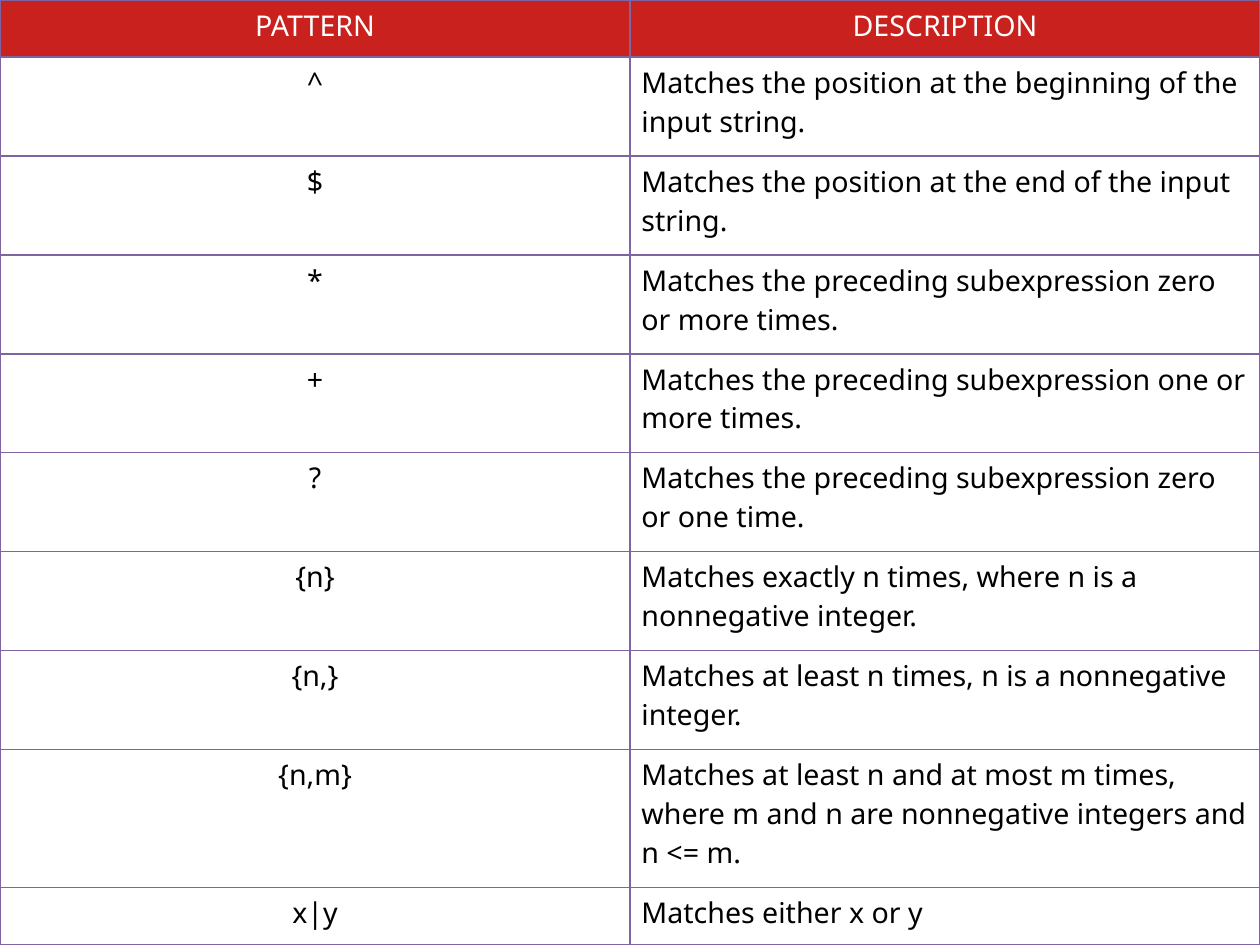
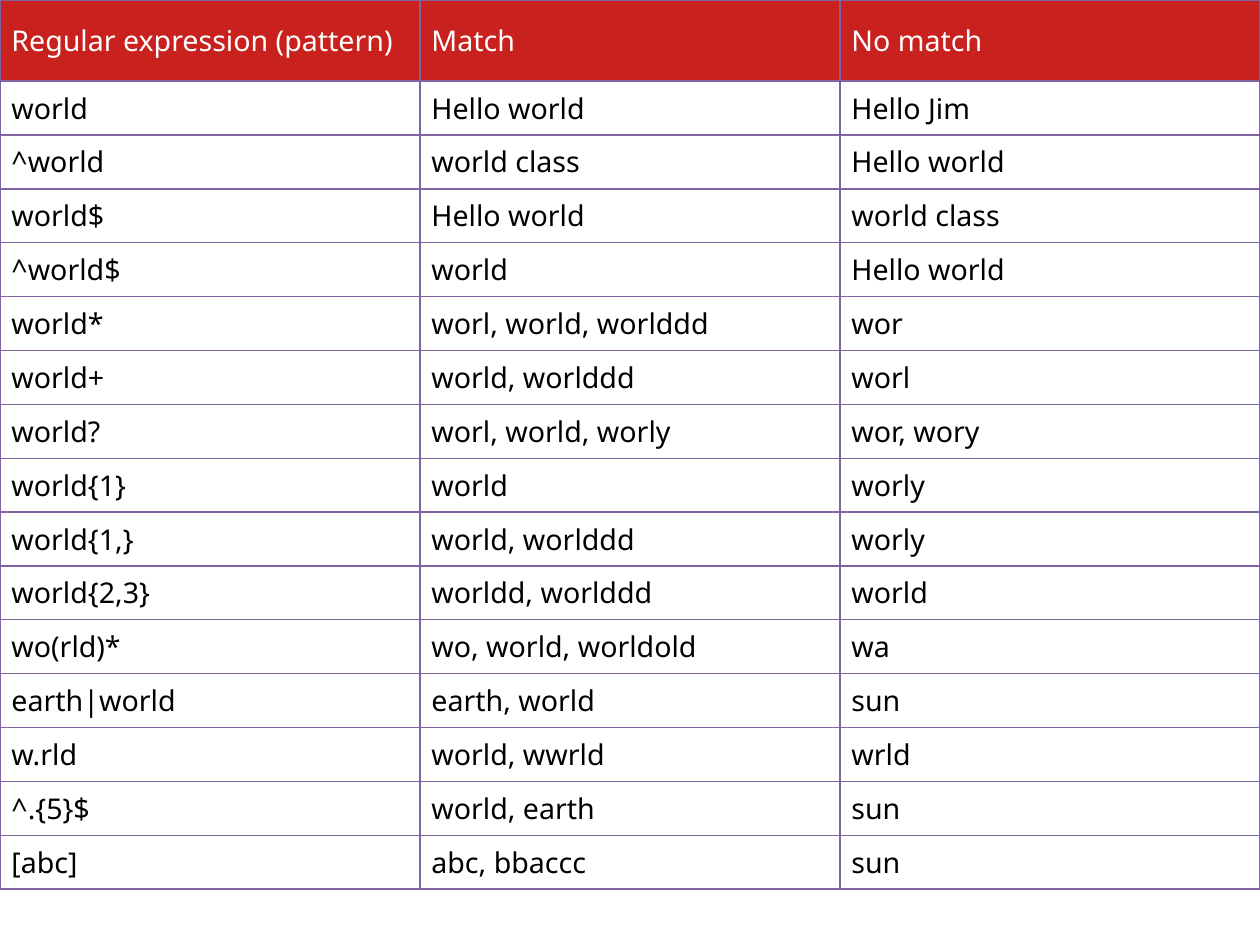
from lxml import etree
from pptx import Presentation
from pptx.dml.color import RGBColor
from pptx.enum.text import MSO_ANCHOR, PP_ALIGN
from pptx.oxml.ns import qn
from pptx.util import Inches, Pt

LEFT, CENTER = PP_ALIGN.LEFT, PP_ALIGN.CENTER
TOP, MIDDLE = MSO_ANCHOR.TOP, MSO_ANCHOR.MIDDLE

# Shared look; the page is 28 by 21 cm, expressed in inches
PAGE_WIDTH, PAGE_HEIGHT = 28 / 2.54, 21 / 2.54
BLANK_LAYOUT = 6
COLORS = {"header": "C9211E", "header_text": "FFFFFF", "text": "000000", "border": "8064A2"}
FONT = {"name": "Noto Sans", "size": Pt(18), "bold": False}
BORDER_WIDTH = Pt(0.96)
BORDER_SIDES = ("a:lnL", "a:lnR", "a:lnT", "a:lnB")

PATTERNS = [
    ("PATTERN", "DESCRIPTION"),
    ("^", "Matches the position at the beginning of the input string."),
    ("$", "Matches the position at the end of the input string."),
    ("*", "Matches the preceding subexpression zero or more times."),
    ("+", "Matches the preceding subexpression one or more times."),
    ("?", "Matches the preceding subexpression zero or one time."),
    ("{n}", "Matches exactly n times, where n is a nonnegative integer."),
    ("{n,}", "Matches at least n times, n is a nonnegative integer."),
    ("{n,m}", "Matches at least n and at most m times, where m and n are "
              "nonnegative integers and n <= m."),
    ("x|y", "Matches either x or y"),
]

EXAMPLES = [
    ("Regular expression (pattern)", "Match", "No match"),
    ("world", "Hello world", "Hello Jim"),
    ("^world", "world class", "Hello world"),
    ("world$", "Hello world", "world class"),
    ("^world$", "world", "Hello world"),
    ("world*", "worl, world, worlddd", "wor"),
    ("world+", "world, worlddd", "worl"),
    ("world?", "worl, world, worly", "wor, wory"),
    ("world{1}", "world", "worly"),
    ("world{1,}", "world, worlddd", "worly"),
    ("world{2,3}", "worldd, worlddd", "world"),
    ("wo(rld)*", "wo, world, worldold", "wa"),
    ("earth|world", "earth, world", "sun"),
    ("w.rld", "world, wwrld", "wrld"),
    ("^.{5}$", "world, earth", "sun"),
    ("[abc]", "abc, bbaccc", "sun"),
]


def add_borders(cell):
    """Line all four sides; the lines must precede the fill in the cell XML."""
    properties = cell._tc.get_or_add_tcPr()
    for position, side in enumerate(BORDER_SIDES):
        line = etree.Element(qn(side), w=str(int(BORDER_WIDTH)))
        fill = etree.SubElement(line, qn("a:solidFill"))
        etree.SubElement(fill, qn("a:srgbClr"), val=COLORS["border"])
        properties.insert(position, line)


def format_cell(cell, text, is_header, align, anchor):
    cell.text = text
    cell.vertical_anchor = anchor
    para = cell.text_frame.paragraphs[0]
    para.alignment = align
    span = para.runs[0]
    for name, value in FONT.items():
        setattr(span.font, name, value)
    color = COLORS["header_text" if is_header else "text"]
    span.font.color.rgb = RGBColor.from_string(color)
    if is_header:
        cell.fill.solid()
        cell.fill.fore_color.rgb = RGBColor.from_string(COLORS["header"])
    else:
        cell.fill.background()
    add_borders(cell)


def add_grid(page, box, records, fixed_heights, header_align, body_aligns, anchor):
    """Fill the box with equal columns; rows without a fixed height share the rest."""
    width, height = box[2:]
    row_count, column_count = len(records), len(records[0])
    table = page.shapes.add_table(row_count, column_count, *map(Inches, box)).table
    table.first_row = table.horz_banding = False

    for column in table.columns:
        column.width = Inches(width / column_count)
    shared = (height - sum(fixed_heights.values())) / (row_count - len(fixed_heights))
    for index, row in enumerate(table.rows):
        row.height = Inches(fixed_heights.get(index, shared))

    for row_index, record in enumerate(records):
        is_header = row_index == 0
        for column_index, text in enumerate(record):
            align = header_align if is_header else body_aligns[column_index]
            format_cell(table.cell(row_index, column_index), text, is_header, align, anchor)


def add_pattern_page(deck):
    page = deck.slides.add_slide(deck.slide_layouts[BLANK_LAYOUT])
    box = (0, 0, PAGE_WIDTH, PAGE_HEIGHT)
    heights = {0: 0.5, 8: 1.21, 9: 0.5}
    add_grid(page, box, PATTERNS, heights, CENTER, (CENTER, LEFT), TOP)


def add_example_page(deck):
    page = deck.slides.add_slide(deck.slide_layouts[BLANK_LAYOUT])
    box = (0, 0, PAGE_WIDTH, 7.78)
    add_grid(page, box, EXAMPLES, {0: 0.71}, LEFT, (LEFT, LEFT, LEFT), MIDDLE)


def main():
    deck = Presentation()
    deck.slide_width, deck.slide_height = Inches(PAGE_WIDTH), Inches(PAGE_HEIGHT)
    add_pattern_page(deck)
    add_example_page(deck)
    deck.save("out.pptx")


if __name__ == "__main__":
    main()
